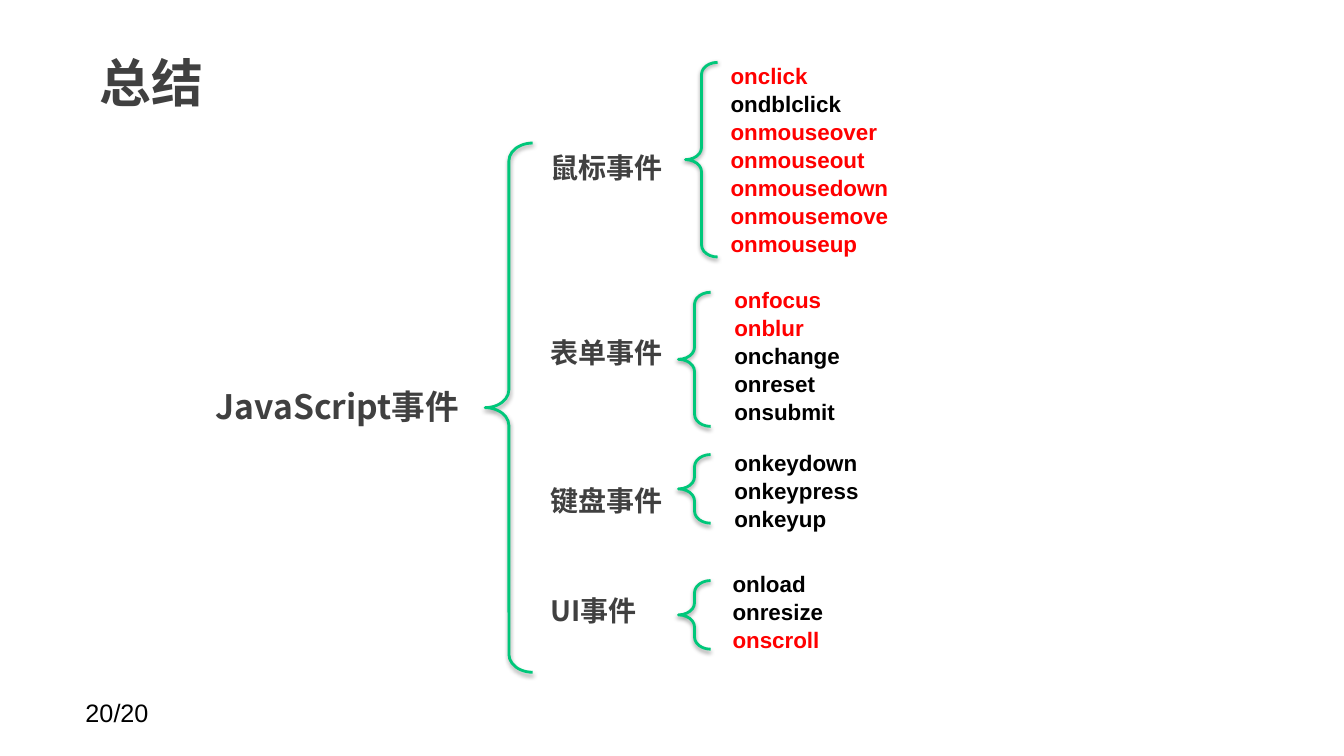
from dataclasses import dataclass

from lxml.etree import SubElement
from pptx import Presentation
from pptx.dml.color import RGBColor
from pptx.enum.shapes import MSO_SHAPE as Shape
from pptx.enum.text import MSO_ANCHOR as Anchor, PP_ALIGN as Align
from pptx.oxml.ns import qn
from pptx.util import Pt

RED = RGBColor(0xFF, 0x00, 0x00)
BLACK = RGBColor(0x00, 0x00, 0x00)
GRAY = RGBColor(0x40, 0x40, 0x40)
GREEN = RGBColor(0x00, 0xC7, 0x7A)
LATIN_FONT = "Arial"
CJK_FONT = "Noto Sans CJK SC"


@dataclass(frozen=True)
class Box:
    left: float
    top: float
    width: float
    height: float

    def lengths(self) -> tuple:
        return Pt(self.left), Pt(self.top), Pt(self.width), Pt(self.height)


@dataclass(frozen=True)
class EventGroup:
    label: str
    label_middle: float
    brace: Box
    list_box: Box
    events: tuple[str, ...]


# Events shown in red
KEY_EVENTS = {"onclick", "onmouseover", "onmouseout", "onmousedown",
              "onmousemove", "onmouseup", "onfocus", "onblur", "onscroll"}

GROUPS = (
    EventGroup("鼠标事件", 119.6, Box(489.6, 44.6, 23, 139), Box(514.8, 40.3, 132.5, 142.6),
               ("onclick", "ondblclick", "onmouseover", "onmouseout",
                "onmousedown", "onmousemove", "onmouseup")),
    EventGroup("表单事件", 251.8, Box(484.6, 208.8, 23, 95.8), Box(517.5, 200.2, 115.2, 104.4),
               ("onfocus", "onblur", "onchange", "onreset", "onsubmit")),
    EventGroup("键盘事件", 357.5, Box(484.6, 324.7, 23, 49), Box(517.5, 316.8, 115.2, 65.5),
               ("onkeydown", "onkeypress", "onkeyup")),
    EventGroup("UI事件", 436, Box(484.6, 414.7, 23, 49), Box(516.2, 403.2, 115.2, 65.5),
               ("onload", "onresize", "onscroll")),
)
LABEL_LEFT, LABEL_WIDTH, LABEL_HEIGHT = 386, 96, 36


def write_text(shape, lines: tuple[str, ...], *, size: float, font: str = CJK_FONT,
               color: RGBColor = GRAY, bold: bool = True, anchor=Anchor.MIDDLE,
               margin_x: float = 7.2, margin_y: float = 0, spacing: float = 1,
               highlights: frozenset | set = frozenset()) -> None:
    """Fill a shape with one paragraph per line; highlighted lines are red."""
    frame = shape.text_frame
    frame.word_wrap = True
    frame.vertical_anchor = anchor
    frame.margin_left = frame.margin_right = Pt(margin_x)
    frame.margin_top = frame.margin_bottom = Pt(margin_y)
    for index, line in enumerate(lines):
        paragraph = frame.add_paragraph() if index else frame.paragraphs[0]
        paragraph.alignment = Align.LEFT
        paragraph.line_spacing = spacing
        run = paragraph.add_run()
        run.text = line
        run.font.name = font
        run.font.size = Pt(size)
        run.font.bold = bold
        run.font.color.rgb = RED if line in highlights else color
        SubElement(run.font._element, qn("a:ea"), typeface=font)


def add_text(slide, box: Box, *lines: str, **text_format) -> None:
    write_text(slide.shapes.add_textbox(*box.lengths()), lines, **text_format)


def add_brace(slide, box: Box) -> None:
    brace = slide.shapes.add_shape(Shape.LEFT_BRACE, *box.lengths())
    brace.adjustments[0] = 0.376
    brace.fill.background()
    brace.line.color.rgb = GREEN
    brace.line.width = Pt(2)
    brace.shadow.inherit = False
    # Soft shadow straight below the line
    effects = brace._element.spPr.find(qn("a:effectLst"))
    shadow = SubElement(effects, qn("a:outerShdw"), blurRad=str(Pt(3.1)),
                        dist=str(Pt(1.6)), dir="5400000", rotWithShape="0")
    shade = SubElement(shadow, qn("a:srgbClr"), val=str(BLACK))
    SubElement(shade, qn("a:alpha"), val="38000")


def add_group(slide, group: EventGroup) -> None:
    label_box = Box(LABEL_LEFT, group.label_middle - LABEL_HEIGHT / 2,
                    LABEL_WIDTH, LABEL_HEIGHT)
    add_text(slide, label_box, group.label, size=20)
    add_brace(slide, group.brace)
    add_text(slide, group.list_box, *group.events, size=16, font=LATIN_FONT, color=BLACK,
             anchor=Anchor.TOP, margin_y=3.6, spacing=1.04, highlights=KEY_EVENTS)


def main() -> None:
    deck = Presentation()
    deck.slide_width, deck.slide_height = Pt(960), Pt(540)
    slide = deck.slides.add_slide(deck.slide_layouts[5])

    # Title and page number
    title = slide.shapes.title
    title.left, title.top, title.width, title.height = Box(62, 21.6, 749.5, 74.2).lengths()
    write_text(title, ("总结",), size=37, margin_x=9.4, margin_y=4.3)
    add_text(slide, Box(54, 494.6, 167.8, 28.8), "20/20", size=18, font=LATIN_FONT,
             color=BLACK, bold=False, anchor=Anchor.TOP, margin_y=3.6)

    # Root of the tree
    add_text(slide, Box(147, 273, 219.6, 34), "JavaScript事件", size=24)
    add_brace(slide, Box(346.5, 102.2, 34, 378))

    # Branches with their events
    for group in GROUPS:
        add_group(slide, group)

    deck.save("out.pptx")


if __name__ == "__main__":
    main()
